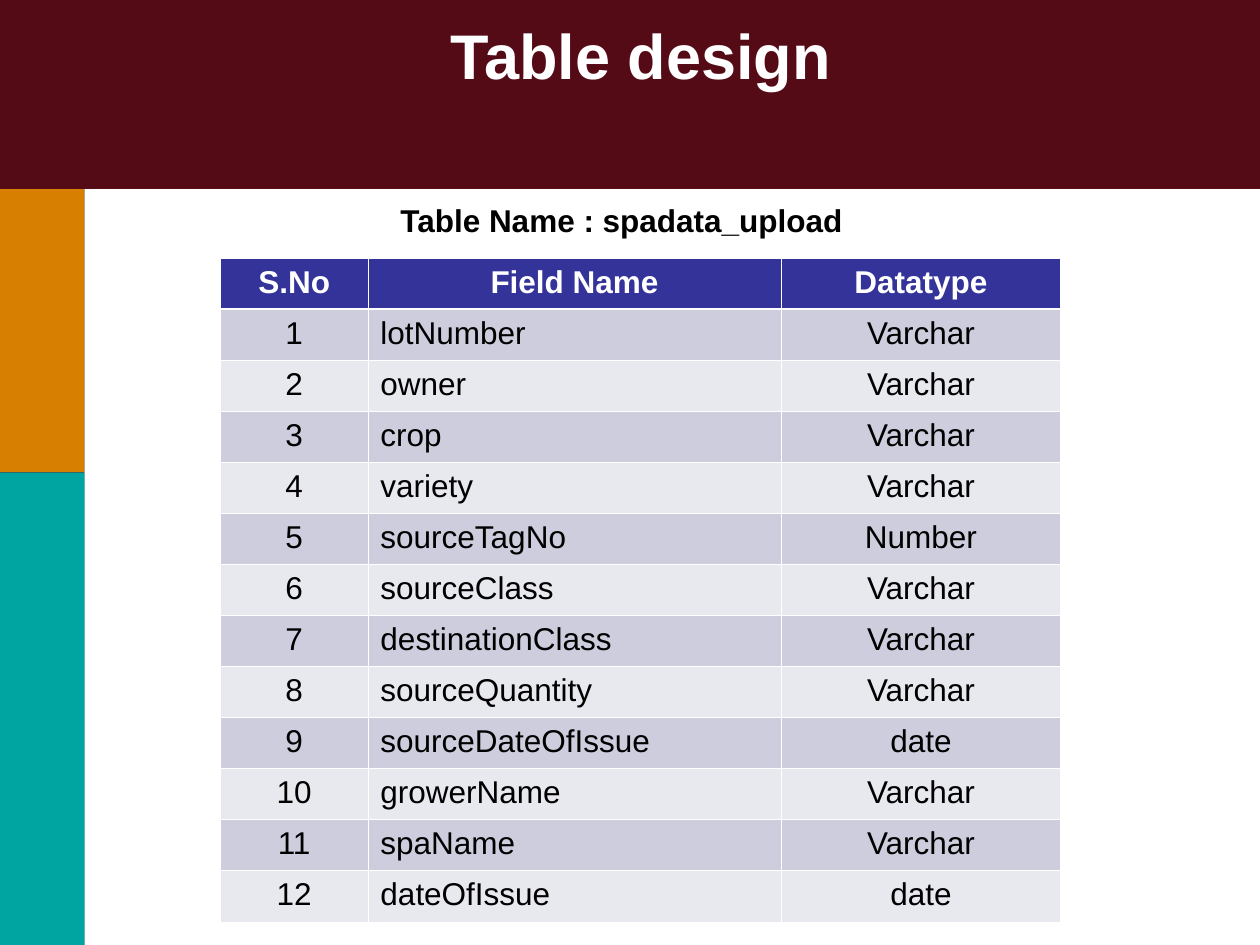
from lxml import etree
from pptx import Presentation
from pptx.dml.color import RGBColor
from pptx.enum.shapes import MSO_SHAPE
from pptx.enum.text import MSO_ANCHOR, PP_ALIGN
from pptx.oxml.ns import qn
from pptx.util import Inches, Pt

RECT = MSO_SHAPE.RECTANGLE
TOP = MSO_ANCHOR.TOP
LEFT, CENTER = PP_ALIGN.LEFT, PP_ALIGN.CENTER

# Content
TITLE = "Table design"
LABEL = "Table Name : spadata_upload"
HEAD = ("S.No", "Field Name", "Datatype")
FIELDS = [
    ("lotNumber", "Varchar"),
    ("owner", "Varchar"),
    ("crop", "Varchar"),
    ("variety", "Varchar"),
    ("sourceTagNo", "Number"),
    ("sourceClass", "Varchar"),
    ("destinationClass", "Varchar"),
    ("sourceQuantity", "Varchar"),
    ("sourceDateOfIssue", "date"),
    ("growerName", "Varchar"),
    ("spaName", "Varchar"),
    ("dateOfIssue", "date"),
]

# Look
FONT = "Arial"
COLORS = {
    "back": "003366", "white": "FFFFFF", "black": "000000",
    "banner": "6C0000", "orange": "D67F00", "teal": "00A4A0",
    "head": "333399", "odd": "CDCDDE", "even": "E8E8EF",
}
PANELS = [  # color, left, top, width, height, opacity in percent
    ("white", 0.67, 1.5, 9.33, 6, 100),
    ("banner", 0, 0, 10, 1.5, 78),
    ("orange", 0, 1.5, 0.67, 2.25, 100),
    ("teal", 0, 3.75, 0.67, 3.75, 100),
]
WIDTHS = (1.17, 3.28, 2.22)
TABLE_H = 5.27
THIN, THICK = 0.45, 1.47


def rgb(name):
    return RGBColor.from_string(COLORS[name])


def write(frame, text, size, color, bold, align):
    para = frame.paragraphs[0]
    para.text = text
    para.alignment = align
    font = para.font
    font.name, font.size, font.bold = FONT, Pt(size), bold
    font.color.rgb = rgb(color)


def add_panel(slide, color, left, top, width, height, opacity):
    box = slide.shapes.add_shape(
        RECT, Inches(left), Inches(top), Inches(width), Inches(height))
    box.shadow.inherit = False
    box.fill.solid()
    box.fill.fore_color.rgb = rgb(color)
    box.line.fill.background()
    if opacity < 100:
        tint = box.fill._xPr.find(".//" + qn("a:srgbClr"))
        etree.SubElement(tint, qn("a:alpha"), val=str(opacity * 1000))


def add_borders(cell, row):
    widths = {
        "a:lnL": THIN, "a:lnR": THIN,
        "a:lnT": THICK if row == 1 else THIN,
        "a:lnB": THICK if row == 0 else THIN,
    }
    props = cell._tc.get_or_add_tcPr()
    for tag, width in widths.items():
        line = etree.SubElement(props, qn(tag), w=str(int(Pt(width))))
        fill = etree.SubElement(line, qn("a:solidFill"))
        etree.SubElement(fill, qn("a:srgbClr"), val=COLORS["white"])


def add_table(slide):
    rows = [HEAD] + [(str(n), *field) for n, field in enumerate(FIELDS, 1)]
    table = slide.shapes.add_table(
        len(rows), len(HEAD), Inches(1.75), Inches(2.05),
        Inches(sum(WIDTHS)), Inches(TABLE_H)).table
    for col, width in zip(table.columns, WIDTHS):
        col.width = Inches(width)
    for r, row in enumerate(rows):
        table.rows[r].height = Inches(TABLE_H / len(rows))
        top = r == 0
        shade = "head" if top else "odd" if r % 2 else "even"
        for c, text in enumerate(row):
            cell = table.cell(r, c)
            add_borders(cell, r)
            cell.fill.solid()
            cell.fill.fore_color.rgb = rgb(shade)
            align = LEFT if c == 1 and not top else CENTER
            write(cell.text_frame, text, 18,
                  "white" if top else "black", top, align)


def main():
    prs = Presentation()
    prs.slide_width, prs.slide_height = Inches(10), Inches(7.5)
    slide = prs.slides.add_slide(prs.slide_layouts[5])
    slide.background.fill.solid()
    slide.background.fill.fore_color.rgb = rgb("back")

    # Background panels
    for panel in PANELS:
        add_panel(slide, *panel)

    # Title, raised above the panels
    title = slide.shapes.title
    slide.shapes._spTree.append(title._element)
    title.left, title.top = Inches(0.42), Inches(0)
    title.width, title.height = Inches(9.33), Inches(1.42)
    frame = title.text_frame
    frame.vertical_anchor = TOP
    frame.margin_top = Inches(0.13)
    write(frame, TITLE, 36, "white", True, CENTER)

    # Field table and its label
    add_table(slide)
    label = slide.shapes.add_textbox(
        Inches(3.08), Inches(1.55), Inches(5.17), Inches(0.4))
    label.text_frame.word_wrap = True
    write(label.text_frame, LABEL, 18, "black", True, LEFT)

    prs.save("out.pptx")


if __name__ == "__main__":
    main()
